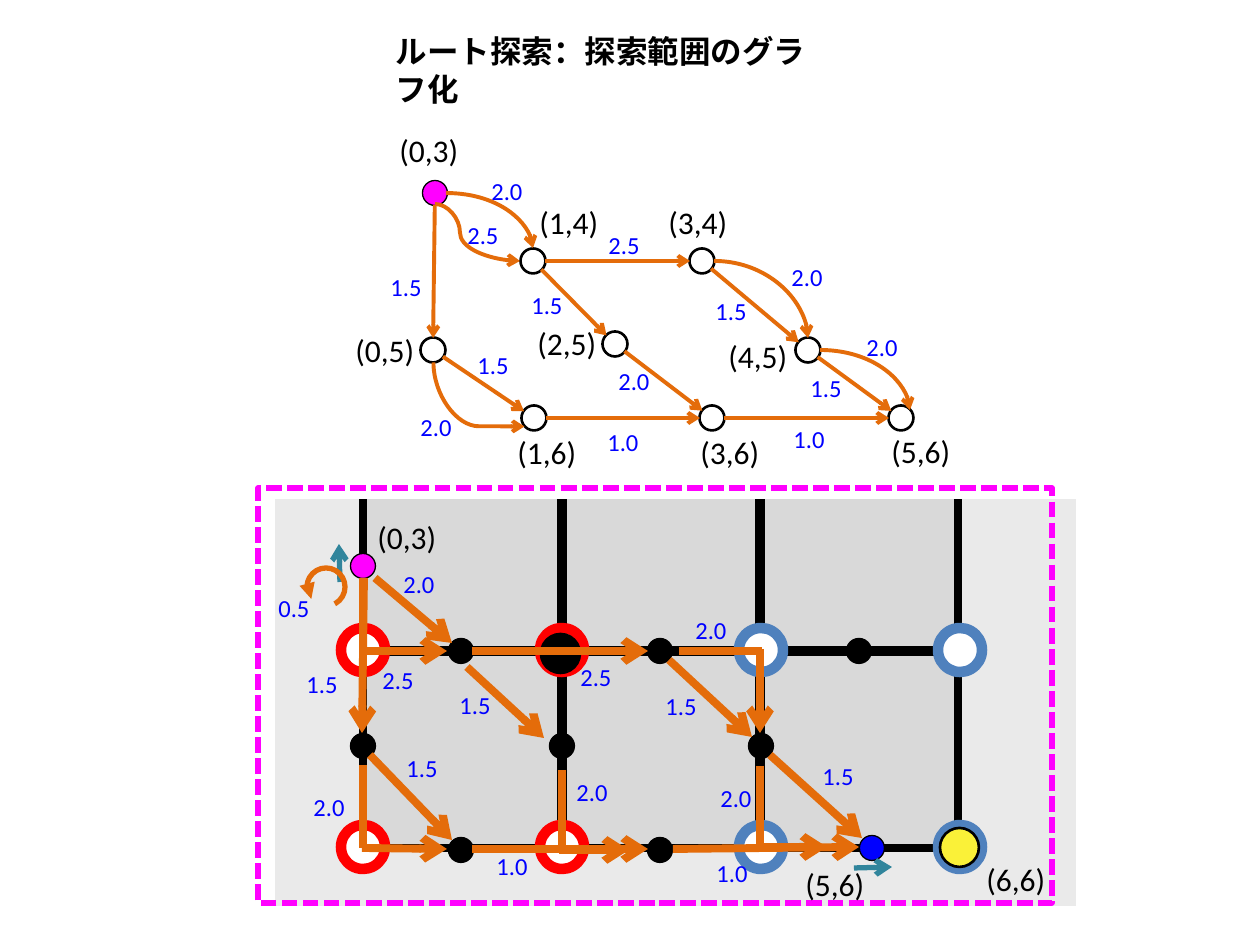
import math
from lxml import etree
from pptx import Presentation, util as u
from pptx.dml.color import RGBColor
from pptx.enum import dml, shapes, text
from pptx.oxml.ns import qn

PX = 914400 / 126
BLACK, WHITE = RGBColor(0, 0, 0), RGBColor(255, 255, 255)
MAGENTA, RED = RGBColor(255, 0, 255), RGBColor(255, 0, 0)
BLUE, STEEL = RGBColor(0, 0, 255), RGBColor(0x4F, 0x81, 0xBD)
ORANGE, TEAL = RGBColor(0xE4, 0x6C, 0x0A), RGBColor(0x31, 0x85, 0x9C)
YELLOW = RGBColor(0xFA, 0xF1, 0x38)
PALE, GRAY = RGBColor(0xEA, 0xEA, 0xEA), RGBColor(0xD9, 0xD9, 0xD9)
RECT, OVAL = shapes.MSO_SHAPE.RECTANGLE, shapes.MSO_SHAPE.OVAL
STRAIGHT, CURVE = shapes.MSO_CONNECTOR.STRAIGHT, shapes.MSO_CONNECTOR.CURVE

prs = Presentation()
prs.slide_width, prs.slide_height = u.Inches(10), u.Inches(7.5)
slide = prs.slides.add_slide(prs.slide_layouts[5])


def add_figure(kind, left, top, width, height, fill=None, color=None, weight=0.75):
    figure = slide.shapes.add_shape(kind, *(round(v * PX) for v in (left, top, width, height)))
    figure.shadow.inherit = False
    if fill is None:
        figure.fill.background()
    else:
        figure.fill.solid()
        figure.fill.fore_color.rgb = fill
    if color is None:
        figure.line.fill.background()
    else:
        figure.line.color.rgb = color
        figure.line.width = u.Pt(weight)
    return figure


def add_path(ends, color, weight, arrow=True, kind=STRAIGHT):
    path = slide.shapes.add_connector(kind, *(round(v * PX) for v in ends))
    path.line.color.rgb = color
    path.line.width = u.Pt(weight)
    properties = path.element.spPr
    if arrow:
        etree.SubElement(properties.find(qn("a:ln")), qn("a:tailEnd"), type="arrow")
    etree.SubElement(properties, qn("a:effectLst"))
    return path


# Title
title = slide.shapes.title
title.left, title.top, title.width, title.height = (round(v * PX) for v in (383, 26, 460, 50))
frame = title.text_frame
frame.word_wrap = True
frame.auto_size = text.MSO_AUTO_SIZE.NONE
frame.vertical_anchor = text.MSO_ANCHOR.TOP
heading = frame.paragraphs[0]
heading.alignment = text.PP_ALIGN.LEFT
run = heading.add_run()
run.text = "ルート探索：探索範囲のグラフ化"
run.font.name, run.font.size, run.font.bold = "Calibri", u.Pt(18), True
run.font.color.rgb = BLACK

# Road map: ground, streets and junctions
COLUMNS = [363 + 199 * i for i in range(4)]
ROWS = [650, 847]
add_figure(RECT, 275, 175, 801, 731, PALE)
add_figure(RECT, 363, 256, 595, 592, GRAY, BLACK, 4.5)
for street in [(562, 253, 562, 845), (760, 253, 760, 845), (359, 651, 955, 651)]:
    add_path(street, BLACK, 6, arrow=False)
for column, x in enumerate(COLUMNS):
    for y in ROWS:
        add_figure(OVAL, x - 22, y - 22, 44, 44, WHITE, RED if column < 2 else STEEL, 6)
add_figure(OVAL, 541, 634, 39, 39, BLACK, BLACK, 1.5)
add_figure(OVAL, 940, 828, 39, 39, YELLOW, BLACK, 1.5)

# Start, end and points halfway along the streets
halfway = [(x, 746) for x in COLUMNS[:3]]
halfway += [(461 + 199 * i, 651) for i in range(3)]
halfway += [(461 + 199 * i, 850) for i in range(2)]
points = [(363, 566, MAGENTA), (872, 848, BLUE)] + [(x, y, BLACK) for x, y in halfway]
for x, y, fill in points:
    add_figure(OVAL, x - 12.5, y - 12.5, 25, 25, fill, BLACK)

# White area for the graph and dashed search range
add_figure(RECT, 258, 165, 828, 334, WHITE)
search_range = add_figure(RECT, 258, 488, 794, 415, None, MAGENTA, 3)
search_range.line.dash_style = dml.MSO_LINE.SQUARE_DOT

# Routes on the map
for route in [
    (364, 578, 362, 733), (370, 755, 452, 840), (375, 578, 452, 643),
    (472, 651, 648, 651), (669, 660, 752, 737), (472, 849, 648, 849),
    (673, 849, 859, 847), (759, 847, 827, 847), (467, 667, 544, 738),
    (362, 848, 447, 849), (362, 651, 447, 651), (559, 850, 629, 850),
    (760, 649, 760, 733), (770, 755, 862, 838),
]:
    add_path(route, ORANGE, 4.5)
for approach in [(760, 766, 760, 850), (363, 765, 363, 848), (363, 578, 363, 654),
                 (562, 770, 562, 853), (679, 651, 762, 651)]:
    add_path(approach, ORANGE, 4.5, arrow=False)
for heading_arrow in [(340, 582, 339, 544), (854, 868, 892, 867)]:
    add_path(heading_arrow, TEAL, 3)

# U-turn at the start
turn = add_figure(shapes.MSO_SHAPE.ARC, 307, 568, 38, 38, None, ORANGE, 3)
turn.adjustments[0], turn.adjustments[1] = 207.34 * 0.6, 129.09 * 0.6
turn.rotation = 270
turn.element.spPr.find(qn("a:xfrm")).set("flipV", "1")
etree.SubElement(turn.element.spPr.find(qn("a:ln")), qn("a:tailEnd"), type="triangle")

# Graph nodes: centre, and corner of the label
nodes = {
    "(0,3)": (435, 193, 387, 125), "(0,5)": (433, 350, 343, 325),
    "(1,4)": (533, 261, 527, 197), "(1,6)": (534, 418, 505, 427),
    "(2,5)": (615, 344, 525, 318), "(3,4)": (702, 261, 656, 197),
    "(3,6)": (712, 418, 688, 427), "(4,5)": (808, 350, 716, 331),
    "(5,6)": (901, 418, 879, 426),
}
for name, (x, y, _, _) in nodes.items():
    start = name == "(0,3)"
    add_figure(OVAL, x - 12.5, y - 12.5, 25, 25, MAGENTA if start else WHITE,
               BLACK, 0.75 if start else 1.5)

# Straight edges run from rim to rim
RIM = 12
for tail, head in [
    ("(0,3)", "(0,5)"), ("(0,5)", "(1,6)"), ("(1,4)", "(3,4)"),
    ("(1,4)", "(2,5)"), ("(2,5)", "(3,6)"), ("(1,6)", "(3,6)"),
    ("(3,4)", "(4,5)"), ("(4,5)", "(5,6)"), ("(3,6)", "(5,6)"),
]:
    (x1, y1), (x2, y2) = nodes[tail][:2], nodes[head][:2]
    share = RIM / math.hypot(x2 - x1, y2 - y1)
    dx, dy = (x2 - x1) * share, (y2 - y1) * share
    add_path((x1 + dx, y1 + dy, x2 - dx, y2 - dy), ORANGE, 2.25)

# Curved edges: ends, bend position, quarter turn
for ends, bend, turned in [
    ((446, 193, 533, 248), None, False), ((714, 261, 808, 338), None, False),
    ((820, 350, 910, 410), None, False), ((435, 204, 520, 261), 29400, False),
    ((447, 349, 511, 440), 99700, True),
]:
    edge = add_path(ends, ORANGE, 2.25, kind=CURVE)
    geometry = edge.element.spPr.find(qn("a:prstGeom"))
    if bend is None:
        geometry.set("prst", "curvedConnector2")
    else:
        etree.SubElement(geometry.find(qn("a:avLst")), qn("a:gd"), name="adj1", fmla=f"val {bend}")
    if turned:
        placement = edge.element.spPr.find(qn("a:xfrm"))
        placement.set("rot", "16200000")
        placement.set("flipH", "1")

# Coordinates and edge costs
coordinates = [(name, x, y) for name, (_, _, x, y) in nodes.items()]
coordinates += [("(6,6)", 974, 854), ("(0,3)", 365, 512), ("(5,6)", 793, 859)]
costs = {
    "0.5": [(266, 587)],
    "1.0": [(595, 421), (781, 418), (484, 845), (704, 852)],
    "1.5": [(378, 266), (465, 344), (519, 284), (703, 290), (798, 367), (294, 663),
            (447, 684), (394, 747), (653, 685), (810, 755)],
    "2.0": [(479, 170), (408, 406), (606, 360), (779, 256), (854, 326), (391, 563),
            (683, 609), (564, 771), (708, 777), (301, 786)],
    "2.5": [(455, 214), (596, 224), (568, 656), (370, 659)],
}
labels = [(name, x, y, 86, 50, 18, BLACK) for name, x, y in coordinates]
labels += [(cost, x, y, 57, 43, 14, BLUE) for cost, places in costs.items() for x, y in places]
for words, x, y, width, height, size, color in labels:
    label = slide.shapes.add_textbox(*(round(v * PX) for v in (x, y, width, height)))
    label.text_frame.word_wrap = False
    run = label.text_frame.paragraphs[0].add_run()
    run.text = words
    run.font.name, run.font.size = "Calibri", u.Pt(size)
    run.font.color.rgb = color

prs.save("out.pptx")
